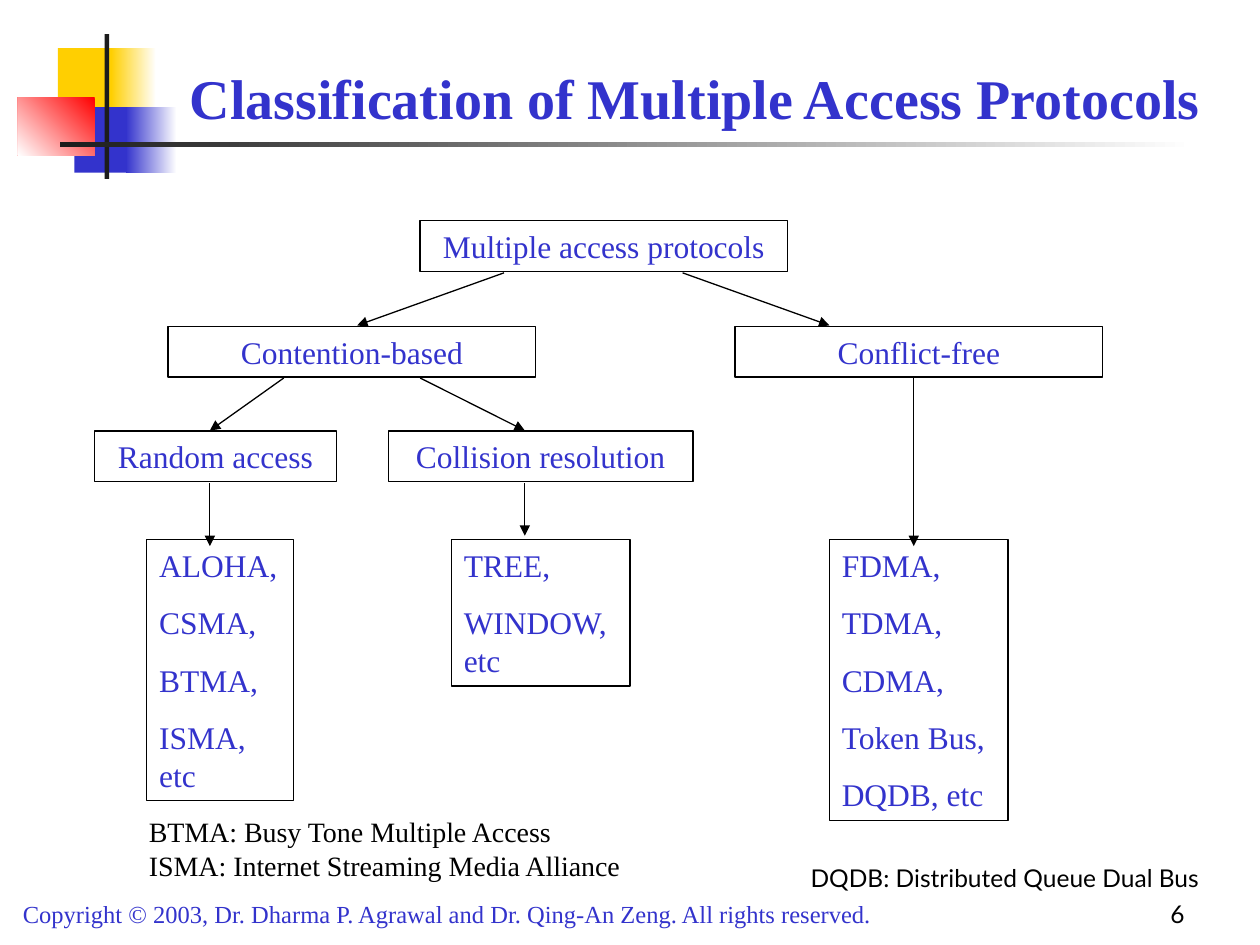
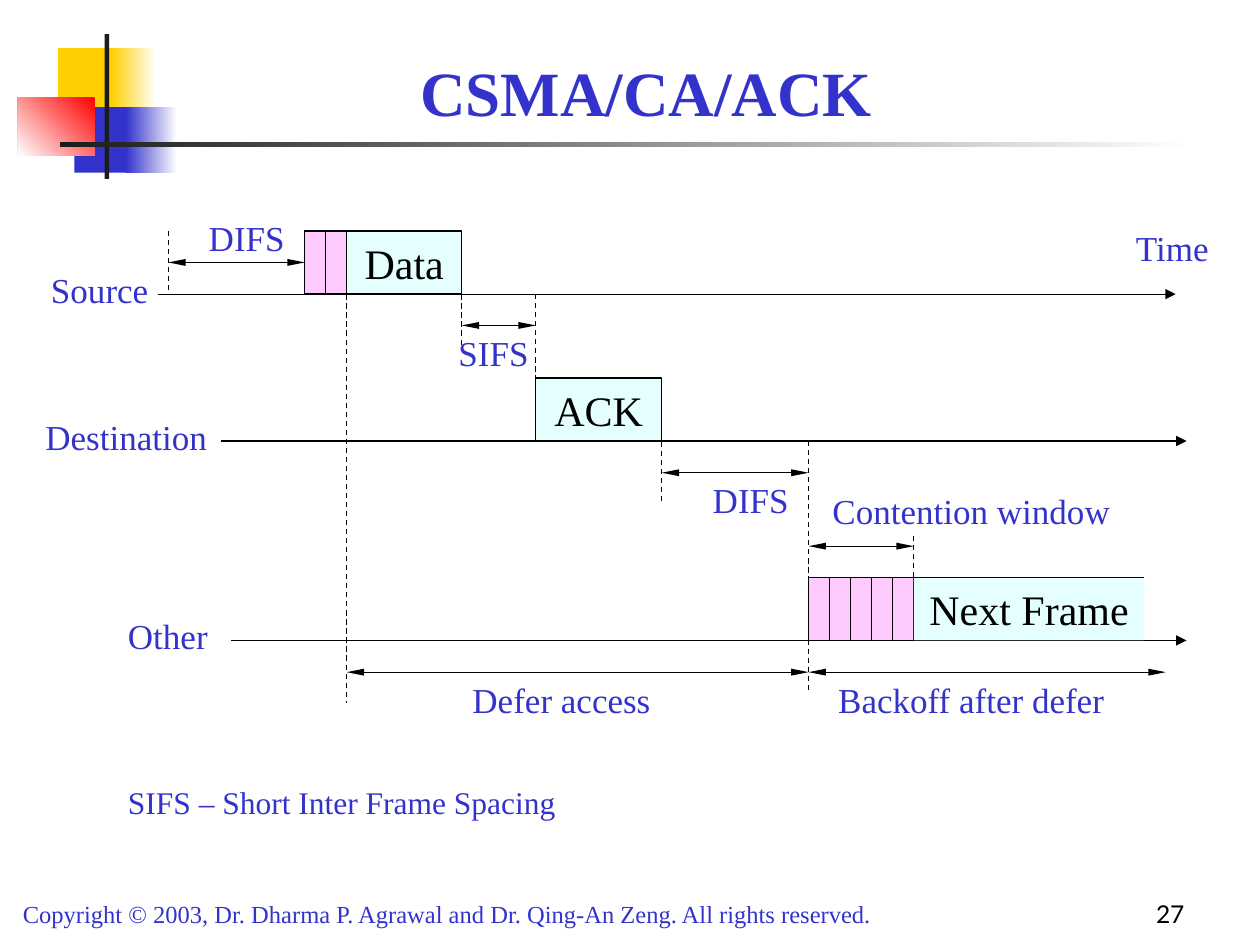
from lxml import etree
from pptx import Presentation
from pptx.dml.color import RGBColor
from pptx.enum.dml import MSO_LINE
from pptx.enum.shapes import MSO_CONNECTOR, MSO_SHAPE
from pptx.enum.text import MSO_ANCHOR, MSO_AUTO_SIZE, PP_ALIGN
from pptx.oxml.ns import qn
from pptx.util import Cm, Pt

RECT = MSO_SHAPE.RECTANGLE
STRAIGHT = MSO_CONNECTOR.STRAIGHT
DASH = MSO_LINE.DASH
LEFT, CENTER, RIGHT = PP_ALIGN.LEFT, PP_ALIGN.CENTER, PP_ALIGN.RIGHT
TOP, MIDDLE, BOTTOM = MSO_ANCHOR.TOP, MSO_ANCHOR.MIDDLE, MSO_ANCHOR.BOTTOM
NO_FIT = MSO_AUTO_SIZE.NONE

SERIF, SANS = "Times New Roman", "Lato"
BLUE, BLACK, WHITE = "3333CC", "000000", "FFFFFF"
YELLOW, RED, CHARCOAL = "FFCF01", "FF0000", "1C1C1C"
PINK, AQUA = "FF99FF", "CCFFFF"
TITLE_ONLY = 5
COPYRIGHT = ("Copyright © 2003, Dr. Dharma P. Agrawal and Dr. Qing-An Zeng. "
             "All rights reserved.")


def rgb(color):
    return RGBColor.from_string(color)


class Deck:
    """Holds the shared style and the slide being built; lengths are in cm."""

    def __init__(self):
        self.prs = Presentation()
        self.prs.slide_width, self.prs.slide_height = Cm(25.4), Cm(19.05)
        self.slide = None

    def start_slide(self, title, title_place, title_size, number):
        layout = self.prs.slide_layouts[TITLE_ONLY]
        self.slide = self.prs.slides.add_slide(layout)
        self.motif()
        heading = self.slide.shapes.title
        heading.left, heading.top, heading.width, heading.height = map(Cm, title_place)
        self.set_text(heading, [title], title_size, align=CENTER, anchor=BOTTOM,
                      bold=True)
        self.text(0.21, 17.99, 19.26, 0.86, [COPYRIGHT], 14)
        self.text(18.84, 17.57, 5.29, 1.27, [str(number)], 14, color=BLACK,
                  align=RIGHT, anchor=BOTTOM, font=SANS)

    def motif(self):
        """Draw the coloured squares and the crossing rules beside the title."""
        self.rect(1.17, 0.97, 1.22, 1.32, YELLOW)
        self.gradient(2.24, 0.97, 0.91, 1.32, WHITE, YELLOW)
        self.rect(1.5, 2.16, 1.17, 1.32, BLUE)
        self.gradient(2.54, 2.16, 1.02, 1.32, WHITE, BLUE)
        self.gradient(0.36, 1.96, 1.55, 1.17, RED, WHITE, 225)
        self.rect(2.11, 0.69, 0.09, 2.92, CHARCOAL)
        self.gradient(1.22, 2.87, 22.86, 0.09, WHITE, CHARCOAL)

    def set_text(self, shape, lines, size, color=BLUE, align=LEFT, anchor=TOP,
                 font=SERIF, bold=False, gap=0):
        frame = shape.text_frame
        frame.word_wrap = True
        frame.auto_size = NO_FIT
        frame.vertical_anchor = anchor
        for i, line in enumerate(lines):
            paragraph = frame.add_paragraph() if i else frame.paragraphs[0]
            paragraph.text = line
            paragraph.alignment = align
            paragraph.space_before = Pt(gap if i else 0)
            paragraph.font.name = font
            paragraph.font.size = Pt(size)
            paragraph.font.bold = bold
            paragraph.font.color.rgb = rgb(color)

    def text(self, left, top, width, height, lines, size, **style):
        box = self.slide.shapes.add_textbox(*map(Cm, (left, top, width, height)))
        self.set_text(box, lines, size, **style)

    def rect(self, left, top, width, height, fill=None, outlined=False, opacity=100):
        shape = self.slide.shapes.add_shape(RECT, *map(Cm, (left, top, width, height)))
        shape.shadow.inherit = False
        if fill:
            shape.fill.solid()
            shape.fill.fore_color.rgb = rgb(fill)
        else:
            shape.fill.background()
        if opacity < 100:
            tint = shape._element.spPr.find(f"{qn('a:solidFill')}/{qn('a:srgbClr')}")
            etree.SubElement(tint, qn("a:alpha"), val=str(opacity * 1000))
        if outlined:
            shape.line.color.rgb = rgb(BLACK)
            shape.line.width = Pt(0.75)
        else:
            shape.line.fill.background()
        return shape

    def gradient(self, left, top, width, height, first, last, angle=180):
        shape = self.rect(left, top, width, height)
        shape.fill.gradient()
        shape.fill.gradient_angle = angle
        for stop, color in zip(shape.fill.gradient_stops, (first, last)):
            stop.color.rgb = rgb(color)

    def line(self, x1, y1, x2, y2, ends=(), dash=None, head_size=("med", "med")):
        """Draw a line; ends lists headEnd and/or tailEnd for arrowheads."""
        connector = self.slide.shapes.add_connector(STRAIGHT, *map(Cm, (x1, y1, x2, y2)))
        connector.line.color.rgb = rgb(BLACK)
        connector.line.width = Pt(0.75)
        if dash:
            connector.line.dash_style = dash
        properties = connector._element.spPr
        width, length = head_size
        for end in ends:
            etree.SubElement(properties.find(qn("a:ln")), qn(f"a:{end}"),
                             type="triangle", w=width, len=length)
        etree.SubElement(properties, qn("a:effectLst"))

    def arrow(self, x1, y1, x2, y2):
        self.line(x1, y1, x2, y2, ["tailEnd"])

    def span(self, x1, x2, y):
        """Draw a double-headed interval arrow."""
        self.line(x1, y, x2, y, ["headEnd", "tailEnd"], head_size=("sm", "lg"))


def classification(deck):
    deck.start_slide("Classification of Multiple Access Protocols",
                     (3.2, 0.43, 21.64, 2.34), 32, 6)
    for name, left, top, width in (
            ("Multiple access protocols", 8.47, 4.45, 7.41),
            ("Contention-based", 3.39, 6.58, 7.41),
            ("Conflict-free", 14.82, 6.58, 7.41),
            ("Random access", 1.91, 8.69, 4.87),
            ("Collision resolution", 7.83, 8.69, 6.14)):
        deck.set_text(deck.rect(left, top, width, 1.02, outlined=True), [name], 18,
                      align=CENTER)
    for protocols, left, width, height in (
            (["FDMA,", "TDMA,", "CDMA,", "Token Bus,", "DQDB, etc"], 16.72, 3.6, 5.66),
            (["ALOHA,", "CSMA,", "BTMA,", "ISMA, etc"], 2.96, 2.96, 5.26),
            (["TREE,", "WINDOW, etc"], 9.1, 3.6, 2.95)):
        deck.set_text(deck.rect(left, 10.88, width, height, outlined=True), protocols,
                      18, gap=11.2)
    for branch in ((10.16, 5.5, 7.2, 6.56), (13.76, 5.5, 16.72, 6.56),
                   (5.72, 7.62, 4.23, 8.68), (8.47, 7.62, 10.58, 8.68),
                   (4.23, 9.74, 4.23, 11.01), (10.58, 9.74, 10.58, 10.8),
                   (18.42, 7.62, 18.42, 11.01)):
        deck.arrow(*branch)
    deck.text(16.09, 17.27, 9.31, 0.86, ["DQDB: Distributed Queue Dual Bus"], 14,
              color=BLACK, anchor=MIDDLE, font=SANS)
    deck.text(2.75, 16.3, 10.58, 1.63,
              ["BTMA: Busy Tone Multiple Access",
               "ISMA: Internet Streaming Media Alliance"], 16, color=BLACK)


def csma_timing(deck):
    deck.start_slide("CSMA/CA/ACK", (1.91, 0.2, 22.23, 2.54), 36, 27)
    source, destination, other = 5.93, 8.89, 12.91
    idle, data, data_end = 3.39, 6.99, 9.31
    ack, ack_end = 10.8, 13.34
    contention, frame, frame_end = 16.3, 18.42, 23.07
    block_height = 1.27
    slot = (frame - contention) / 5
    slots_start = data - 2 * slot

    for start, end, baseline in ((3.18, 23.7, source), (4.45, 23.92, destination),
                                 (4.66, 23.92, other)):
        deck.arrow(start, baseline, end, baseline)
    for instant, top, bottom in (
            (data, 4.66, 14.18), (idle, 4.66, source), (data_end, 4.66, 6.99),
            (ack, source, destination), (ack_end, 7.82, 10.16),
            (contention, destination, 13.97), (frame, 10.8, 11.86)):
        deck.line(instant, top, instant, bottom, dash=DASH)
    for start, end, y in (
            (idle, slots_start, 5.29), (data_end, ack, 6.56),
            (ack_end, contention, 9.53), (contention, frame, 11.01),
            (data, contention, 13.55), (contention, 23.5, 13.55)):
        deck.span(start, end, y)

    for start, count, baseline in ((slots_start, 2, source), (contention, 5, other)):
        for i in range(count):
            deck.rect(start + i * slot, baseline - block_height, slot, block_height,
                      PINK, outlined=True, opacity=50)
    for name, start, end, baseline, outlined in (
            ("Data", data, data_end, source, True),
            ("ACK", ack, ack_end, destination, True),
            ("Next Frame", frame, frame_end, other, False)):
        block = deck.rect(start, baseline - block_height, end - start, block_height,
                          AQUA, outlined, opacity=50)
        deck.set_text(block, [name], 24, color=BLACK, align=CENTER)
    deck.line(frame, other - block_height, frame_end, other - block_height)

    for label, left, top, width, align in (
            ("DIFS", 3.81, 4.23, 2.33, CENTER),
            ("Time", 22.65, 4.45, 2.12, LEFT),
            ("Source", 0.42, source - 0.64, 3.18, CENTER),
            ("Destination", 0.64, destination - 0.64, 3.81, CENTER),
            ("Other", 2.33, other - 0.64, 2.33, LEFT),
            ("SIFS", 8.89, 6.56, 2.12, CENTER),
            ("DIFS", 13.97, 9.53, 2.33, CENTER),
            ("Contention window", contention, 9.74, 6.56, CENTER),
            ("Defer access", 8.04, 13.55, 6.56, CENTER),
            ("Backoff after defer", contention, 13.55, 6.56, CENTER)):
        deck.text(left, top, width, 1.11, [label], 20, align=align)
    deck.text(2.33, 15.66, 12.49, 1.02, ["SIFS – Short Inter Frame Spacing"], 18)


def main():
    deck = Deck()
    classification(deck)
    csma_timing(deck)
    deck.prs.save("out.pptx")


if __name__ == "__main__":
    main()
